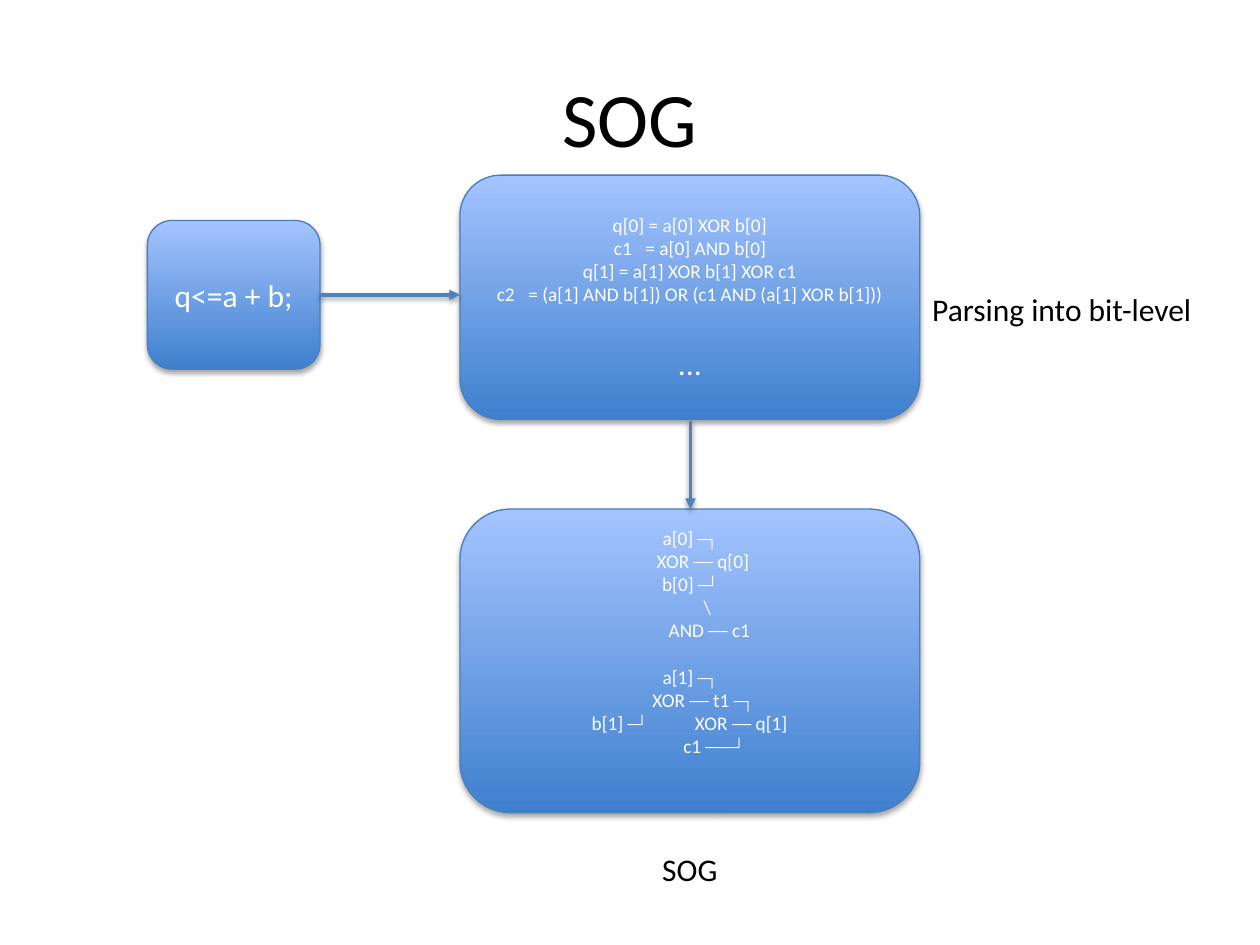
"""Build a slide showing how an adder is parsed into a bit-level graph."""
from dataclasses import dataclass

from lxml import etree
from pptx import Presentation
from pptx.dml.color import RGBColor
from pptx.enum.shapes import MSO_CONNECTOR, MSO_SHAPE
from pptx.enum.text import MSO_ANCHOR, PP_ALIGN
from pptx.oxml.ns import qn
from pptx.util import Inches, Pt

ROUNDED = MSO_SHAPE.ROUNDED_RECTANGLE
STRAIGHT = MSO_CONNECTOR.STRAIGHT
MIDDLE, TOP = MSO_ANCHOR.MIDDLE, MSO_ANCHOR.TOP
CENTER, LEFT = PP_ALIGN.CENTER, PP_ALIGN.LEFT

BLACK = RGBColor(0x00, 0x00, 0x00)
WHITE = RGBColor(0xFF, 0xFF, 0xFF)
GRADIENT = (RGBColor(0x3F, 0x80, 0xCE), RGBColor(0xA4, 0xC4, 0xFF))
OUTLINE = RGBColor(0x4B, 0x7E, 0xBC)
ARROW = RGBColor(0x4F, 0x81, 0xBD)

SPACE_WIDTH = 0.0345


@dataclass(frozen=True)
class Line:
    """A line of text, with its indent in spaces or its tab stops in inches."""

    text: str
    size: float = 11
    indent: int = 0
    before: float = 0
    stops: tuple[float, ...] = ()


@dataclass(frozen=True)
class Stage:
    """A rounded box of the flow."""

    box: tuple[float, float, float, float]
    lines: tuple[Line, ...]
    bottom_inset: float = 0.05


@dataclass(frozen=True)
class Label:
    """Plain text on the slide background."""

    box: tuple[float, float, float, float]
    line: Line
    align: PP_ALIGN = CENTER
    anchor: MSO_ANCHOR = TOP
    wrap: bool = True


@dataclass(frozen=True)
class Arrow:
    """A straight arrow between two points."""

    start: tuple[float, float]
    end: tuple[float, float]


SOURCE = Stage((1.17, 1.75, 1.37, 1.18), (Line("q<=a + b;", 18),))
EQUATIONS = Stage((3.65, 1.39, 3.65, 1.94), (
    Line("q[0] = a[0] XOR b[0]"),
    Line("\tc1\t= a[0] AND b[0]", stops=(1.03, 1.28)),
    Line("q[1] = a[1] XOR b[1] XOR c1"),
    Line("\tc2\t= (a[1] AND b[1]) OR (c1 AND (a[1] XOR b[1]))", stops=(0.1, 0.35)),
    Line("...", 18, before=22),
))
GRAPH = Stage((3.65, 4.04, 3.65, 2.41), (
    Line("a[0] ─┐"),
    Line("XOR ── q[0]", indent=6),
    Line("b[0] ─┘"),
    Line("\\", indent=8),
    Line("AND ── c1", indent=9),
    Line("a[1] ─┐", before=13.4),
    Line("XOR ── t1 ─┐", indent=6),
    Line("\tb[1] ─┘\tXOR ── q[1]", stops=(0.83, 1.65)),
    Line("c1 ───┘", indent=11),
), bottom_inset=0.35)

LABELS = (
    Label((0.5, 0.3, 9, 1.25), Line("SOG", 44), anchor=MIDDLE),
    Label((7.3, 2.25, 2.35, 0.4), Line("Parsing into bit-level", 18), align=LEFT, wrap=False),
    Label((4.77, 6.7, 1.41, 0.4), Line("SOG", 18)),
)
ARROWS = (Arrow((2.54, 2.34), (3.65, 2.34)), Arrow((5.48, 3.34), (5.48, 4.04)))


def apply_format(target, values: dict) -> None:
    """Set each named attribute of the target."""
    for name, value in values.items():
        setattr(target, name, value)


def add_shadow(item, distance: float, opacity: int) -> None:
    """Give a shape or connector a soft shadow below it."""
    effects = etree.SubElement(item.element.spPr, qn("a:effectLst"))
    shadow = etree.SubElement(effects, qn("a:outerShdw"), blurRad=str(Pt(3.1)),
                              dist=str(Pt(distance)), dir="5400000", rotWithShape="0")
    color = etree.SubElement(shadow, qn("a:srgbClr"), val=str(BLACK))
    etree.SubElement(color, qn("a:alpha"), val=str(opacity * 1000))


def write_line(paragraph, line: Line, color: RGBColor, align: PP_ALIGN) -> None:
    """Fill a paragraph with one line of text."""
    apply_format(paragraph, {
        "alignment": LEFT if line.stops else align,
        "space_before": Pt(line.before),
    })
    properties = paragraph._p.get_or_add_pPr()
    if line.indent:
        properties.set("marL", str(Inches(line.indent * SPACE_WIDTH)))
    if line.stops:
        tabs = etree.SubElement(properties, qn("a:tabLst"))
        for stop in line.stops:
            etree.SubElement(tabs, qn("a:tab"), pos=str(Inches(stop)), algn="l")
    run = paragraph.add_run()
    run.text = line.text
    apply_format(run.font, {"name": "Calibri", "size": Pt(line.size)})
    run.font.color.rgb = color


def draw_stage(slide, stage: Stage) -> None:
    """Draw a gradient box with its lines."""
    box = slide.shapes.add_shape(ROUNDED, *map(Inches, stage.box))
    box.fill.gradient()
    box.fill.gradient_angle = 90
    for stop, color in zip(box.fill.gradient_stops, GRADIENT):
        stop.color.rgb = color
    box.line.color.rgb = OUTLINE
    box.line.width = Pt(0.75)
    add_shadow(box, 1.8, 35)
    frame = box.text_frame
    apply_format(frame, {
        "word_wrap": True,
        "vertical_anchor": MIDDLE,
        "margin_bottom": Inches(stage.bottom_inset),
    })
    for index, line in enumerate(stage.lines):
        paragraph = frame.add_paragraph() if index else frame.paragraphs[0]
        write_line(paragraph, line, WHITE, CENTER)


def draw_label(slide, label: Label) -> None:
    """Draw a text box."""
    frame = slide.shapes.add_textbox(*map(Inches, label.box)).text_frame
    apply_format(frame, {"word_wrap": label.wrap, "vertical_anchor": label.anchor})
    write_line(frame.paragraphs[0], label.line, BLACK, label.align)


def draw_arrow(slide, arrow: Arrow) -> None:
    """Draw an arrow with a triangular head."""
    connector = slide.shapes.add_connector(STRAIGHT, *map(Inches, arrow.start + arrow.end))
    connector.line.color.rgb = ARROW
    connector.line.width = Pt(2)
    etree.SubElement(connector.line._get_or_add_ln(), qn("a:tailEnd"), type="triangle")
    add_shadow(connector, 1.6, 38)


def main() -> None:
    """Build and save the slide."""
    deck = Presentation()
    apply_format(deck, {"slide_width": Inches(10), "slide_height": Inches(7.5)})
    slide = deck.slides.add_slide(deck.slide_layouts[6])
    for stage in (SOURCE, EQUATIONS, GRAPH):
        draw_stage(slide, stage)
    for arrow in ARROWS:
        draw_arrow(slide, arrow)
    for label in LABELS:
        draw_label(slide, label)
    deck.save("out.pptx")


if __name__ == "__main__":
    main()
